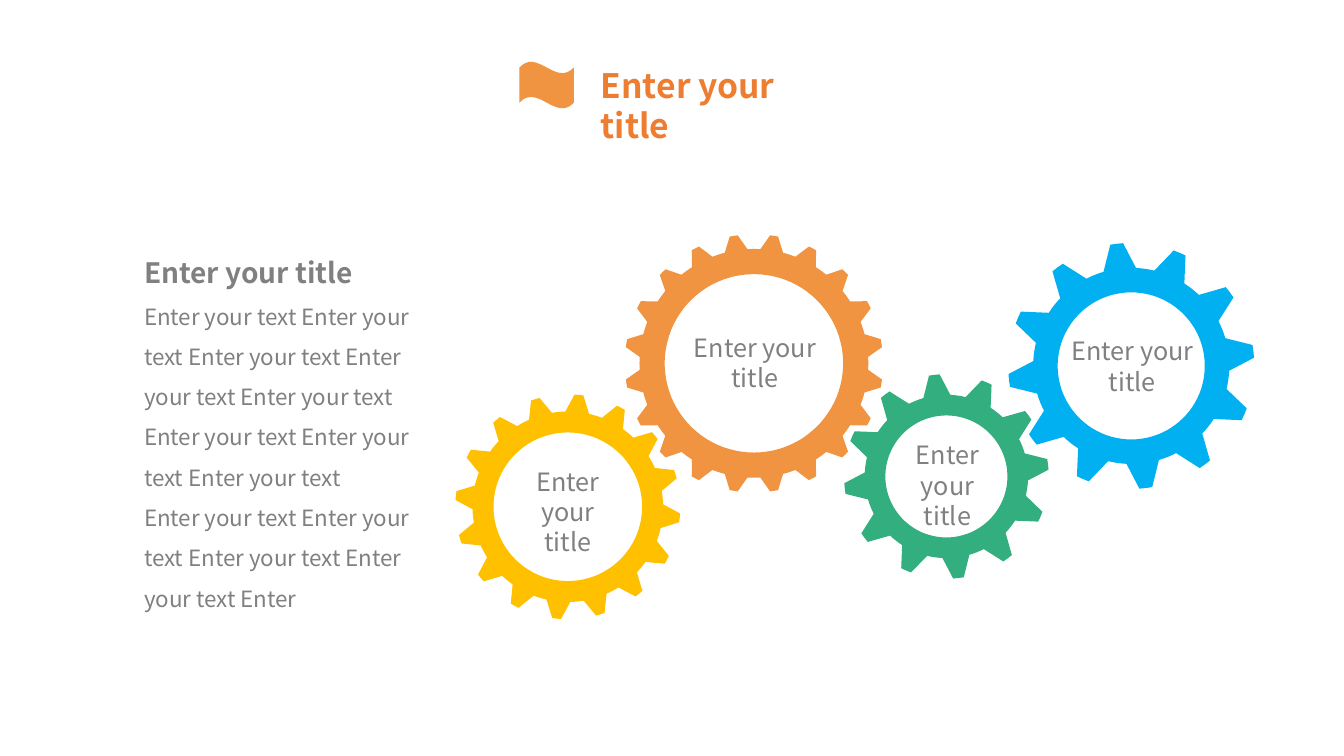
import math

import pptx
import pptx.util
from pptx.dml.color import RGBColor
from pptx.enum.shapes import MSO_SHAPE
from pptx.enum.text import MSO_ANCHOR, MSO_AUTO_SIZE, PP_ALIGN

WIDTH, HEIGHT = pptx.util.Inches(13.33), pptx.util.Inches(7.5)
FONT = "Noto Sans CJK SC"
ORANGE, GREY = "F09442", "808080"
TITLE = "Enter your title"
LABEL_HEIGHT = 9.47
TIP, ROOT = 0.1, 0.32  # half widths of a tooth, as shares of the pitch

# colour, teeth, angle of first tooth, centre, (outer, root, hole) radii,
# label centre, label width; places in % of the slide, radii in % of its height
GEARS = [
    (ORANGE, 20, 9, (56.1, 48.07), (17.07, 15.13, 11.8), (56.18, 47.93), 13.05),
    ("33AE7F", 12, -6.8, (70.42, 63.03), (13.53, 10.8, 8.07), (70.5, 64.15), 9.23),
    ("FFC000", 16, 5.7, (42.25, 67.03), (14.87, 12.6, 9.83), (42.26, 67.62), 9.23),
    ("00B0F0", 12, -6.8, (84.17, 48.4), (16.27, 12.97, 9.73), (84.26, 48.42), 13.05),
]


def across(share):
    return int(WIDTH * share / 100)


def down(share):
    return int(HEIGHT * share / 100)


def box(left, top, width, height):
    return across(left), down(top), across(width), down(height)


def rgb(colour):
    return RGBColor.from_string(colour)


def paint(sp, colour):
    sp.shadow.inherit = False
    sp.fill.solid()
    sp.fill.fore_color.rgb = rgb(colour)
    sp.line.fill.background()


def write(p, text, size=18, colour=GREY, bold=False, align=PP_ALIGN.LEFT, spacing=1.0):
    p.alignment = align
    p.line_spacing = spacing
    p.space_before = pptx.util.Pt(0)
    r = p.add_run()
    r.text = text
    r.font.name = FONT
    r.font.size = pptx.util.Pt(size)
    r.font.bold = bold
    r.font.color.rgb = rgb(colour)


def frame(sp, anchor=MSO_ANCHOR.TOP):
    tf = sp.text_frame
    tf.word_wrap = True
    tf.auto_size = MSO_AUTO_SIZE.SHAPE_TO_FIT_TEXT
    tf.vertical_anchor = anchor
    return tf


def add_text(s, place, anchor=MSO_ANCHOR.TOP):
    return frame(s.shapes.add_textbox(*place), anchor)


def add_gear(s, colour, teeth, first, centre, radii):
    outer, root, hole = radii

    def point(radius, degrees):
        a = math.radians(degrees)
        return (across(centre[0]) + int(down(radius) * math.sin(a)),
                down(centre[1]) - int(down(radius) * math.cos(a)))

    pitch = 360 / teeth
    rim = []
    for i in range(teeth):
        mid = first + i * pitch
        rim += [point(outer, mid + k * TIP * pitch) for k in (-1, 0, 1)]
        valley = (0.5 - ROOT) * pitch
        rim += [point(root, mid + pitch / 2 + k * valley / 2) for k in range(-2, 3)]
    # The hole runs the other way round from the rim
    ring = [point(hole, -angle) for angle in range(0, 360, 4)]

    fb = s.shapes.build_freeform(*ring[0])
    fb.add_line_segments(ring[1:], close=True)
    fb.move_to(*rim[0])
    fb.add_line_segments(rim[1:], close=True)
    paint(fb.convert_to_shape(), colour)


def add_heading(s):
    flag = s.shapes.add_shape(MSO_SHAPE.WAVE, *box(38.65, 8.15, 4.05, 6.2))
    paint(flag, ORANGE)
    sp = s.shapes.title
    sp.left, sp.top, sp.width, sp.height = box(43.95, 7.87, 19.5, 6.67)
    write(frame(sp).paragraphs[0], TITLE, size=24, colour="ED7D31", bold=True)


def add_body(s):
    tf = add_text(s, box(9.98, 30.95, 21.35, 56.53))
    write(tf.paragraphs[0], TITLE, size=20, bold=True, spacing=1.5)
    phrase = "Enter your text"
    for text in (" ".join([phrase] * 8), " ".join([phrase] * 4 + ["Enter"])):
        write(tf.add_paragraph(), text, size=16, spacing=1.5)


def main():
    prs = pptx.Presentation()
    prs.slide_width, prs.slide_height = WIDTH, HEIGHT
    s = prs.slides.add_slide(prs.slide_layouts[5])

    add_heading(s)
    add_body(s)

    # Gear train with a label in each hub
    for colour, teeth, first, centre, radii, (x, y), width in GEARS:
        add_gear(s, colour, teeth, first, centre, radii)
        place = box(x - width / 2, y - LABEL_HEIGHT / 2, width, LABEL_HEIGHT)
        tf = add_text(s, place, MSO_ANCHOR.MIDDLE)
        write(tf.paragraphs[0], TITLE, align=PP_ALIGN.CENTER)

    prs.save("out.pptx")


if __name__ == "__main__":
    main()
